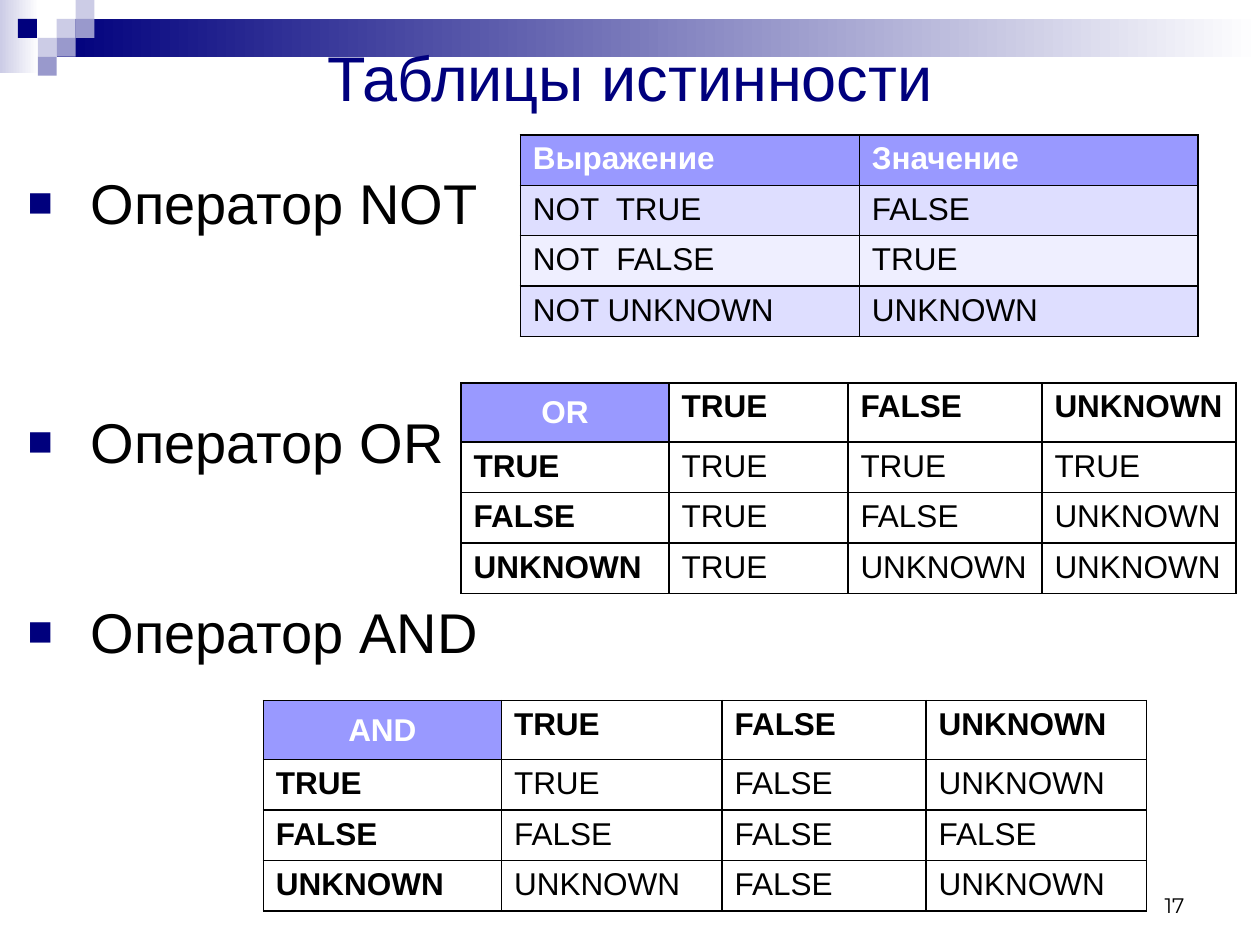
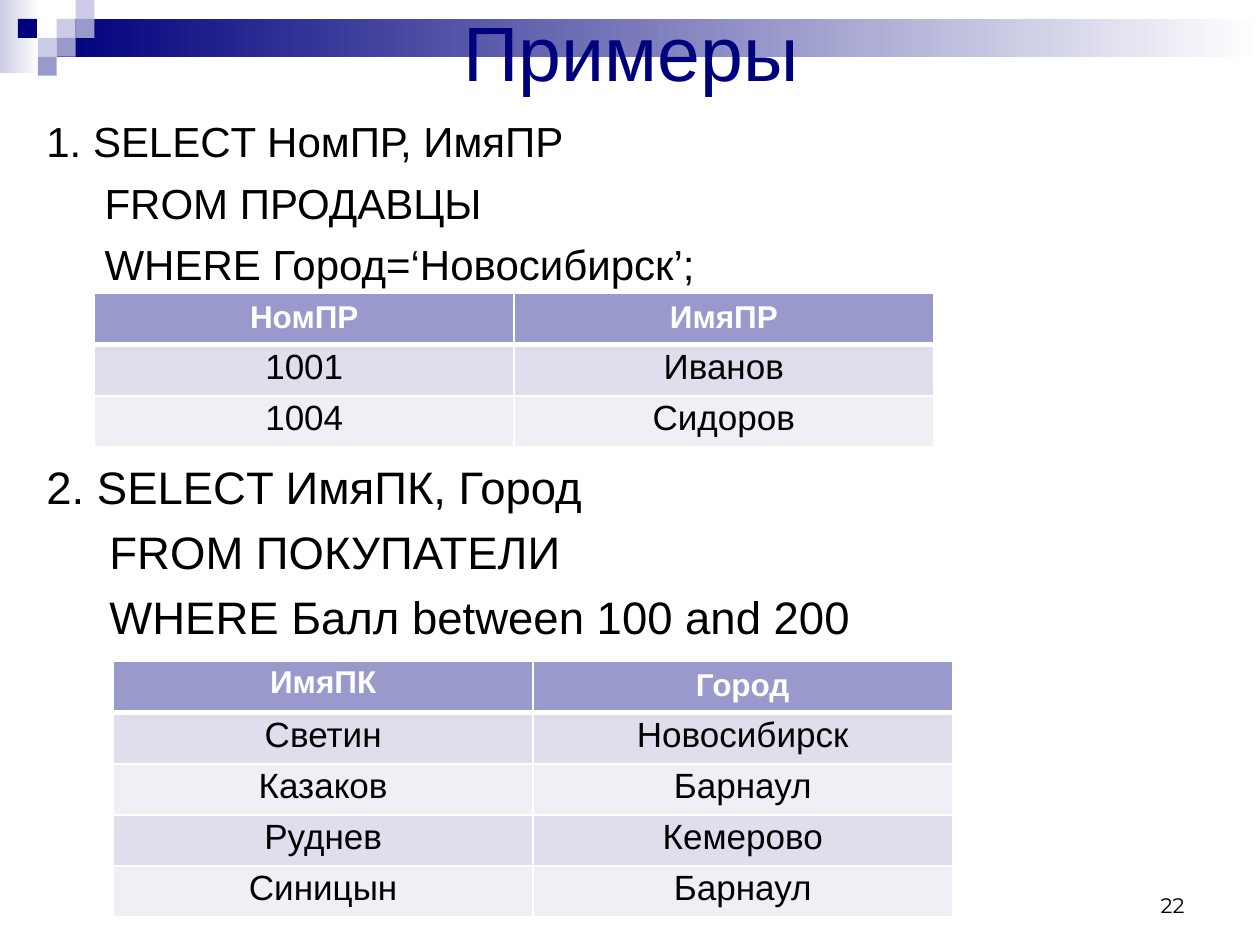
import pptx
import pptx.dml.color
import pptx.enum.shapes
import pptx.enum.text
import pptx.oxml.ns
import pptx.util
import lxml.etree

Inches = pptx.util.Inches
Pt = pptx.util.Pt
Align = pptx.enum.text.PP_ALIGN
Anchor = pptx.enum.text.MSO_ANCHOR

COLORS = {
    "navy": "00007D", "pale": "CCCCE6", "lavender": "9999CC",
    "white": "FFFFFF", "black": "000000",
    "violet": "9999FF", "violet_band": "DEDEFF", "violet_light": "EFEFFF",
    "gray_band": "DEDEEC", "gray_light": "EFEFF6",
}
FONT = "Arial"
TITLE = {"size": 36, "color": "navy", "align": Align.CENTER}
PAGE_NUMBER = {"size": 12, "font": "Montserrat", "align": Align.RIGHT}
HEADER = {"size": 18, "bold": True, "color": "white"}
PLAIN = {"size": 18}
STRONG = {"size": 18, "bold": True}
RESULT = {"size": 20, "align": Align.CENTER, "spacing": 0.9}
TRUTH_VALUES = ["TRUE", "FALSE", "UNKNOWN"]


def rgb(name):
    return pptx.dml.color.RGBColor.from_string(COLORS[name])


def add_bullet(paragraph, indent=0.5):
    properties = paragraph._p.get_or_add_pPr()
    properties.set("marL", str(Inches(indent)))
    properties.set("indent", str(-Inches(indent)))
    qn = pptx.oxml.ns.qn
    color = lxml.etree.SubElement(properties, qn("a:buClr"))
    lxml.etree.SubElement(color, qn("a:srgbClr"), val=COLORS["navy"])
    lxml.etree.SubElement(properties, qn("a:buSzPct"), val="75000")
    lxml.etree.SubElement(properties, qn("a:buFont"), typeface=FONT)
    lxml.etree.SubElement(properties, qn("a:buChar"), char="■")


def write_paragraph(paragraph, text, style):
    paragraph.text = text
    if style.get("bullet"):
        add_bullet(paragraph)
    layout = {
        "alignment": style.get("align", Align.LEFT),
        "line_spacing": style.get("spacing"),
        "space_before": Pt(style.get("before", 0)),
    }
    for name, value in layout.items():
        setattr(paragraph, name, value)
    font_values = {
        "name": style.get("font", FONT),
        "size": Pt(style["size"]),
        "bold": style.get("bold", False),
    }
    for name, value in font_values.items():
        setattr(paragraph.font, name, value)
    paragraph.font.color.rgb = rgb(style.get("color", "black"))


def add_text(slide, box, lines, anchor=Anchor.TOP):
    """Lines are (text, style) pairs, one for each paragraph."""
    shape = slide.shapes.add_textbox(*map(Inches, box))
    frame = shape.text_frame
    frame.word_wrap = True
    frame.vertical_anchor = anchor
    for index, (text, style) in enumerate(lines):
        paragraph = frame.add_paragraph() if index else frame.paragraphs[0]
        write_paragraph(paragraph, text, style)


# Band and squares along the top edge
def add_block(slide, box, color, fades=False):
    shape = slide.shapes.add_shape(
        pptx.enum.shapes.MSO_SHAPE.RECTANGLE, *map(Inches, box))
    shape.shadow.inherit = False
    shape.line.fill.background()
    if fades:
        shape.fill.gradient()
        shape.fill.gradient_angle = 0
        for stop, position, name in zip(
                shape.fill.gradient_stops, (0, 1), (color, "white")):
            stop.position = position
            stop.color.rgb = rgb(name)
    else:
        shape.fill.solid()
        shape.fill.fore_color.rgb = rgb(color)


def add_top_band(slide, side=0.15):
    add_block(slide, (0, 0, 0.31, 0.58), "pale", fades=True)
    add_block(slide, (0.45, side, 9.55, 0.3), "navy", fades=True)
    squares = [(3, 1, "pale"), (4, 0, "pale"), (4, 1, "lavender"), (2, 2, "pale"),
               (0.95, 1, "navy"), (3, 2, "lavender"), (2, 3, "lavender")]
    for column, row, color in squares:
        add_block(slide, (column * side, row * side, side, side), color)


def add_base_slide(presentation, title, title_box, title_size, number):
    slide = presentation.slides.add_slide(presentation.slide_layouts[6])
    add_top_band(slide)
    add_text(slide, title_box, [(title, {**TITLE, "size": title_size})], Anchor.MIDDLE)
    add_text(slide, (7.17, 6.83, 2.33, 0.5), [(number, PAGE_NUMBER)], Anchor.BOTTOM)
    return slide


# Tables
def set_borders(cell, color, widths):
    qn = pptx.oxml.ns.qn
    properties = cell._tc.get_or_add_tcPr()
    for index, (side, width) in enumerate(widths.items()):
        line = lxml.etree.Element(qn(f"a:ln{side}"), w=str(Pt(width)))
        fill = lxml.etree.SubElement(line, qn("a:solidFill"))
        lxml.etree.SubElement(fill, qn("a:srgbClr"), val=COLORS[color])
        properties.insert(index, line)


def add_grid(slide, left, top, columns, row_heights, rows, style_cell,
             border="black", header_rule=1):
    """style_cell(row, column) gives the text style, fill and anchor."""
    box = (left, top, sum(columns), sum(row_heights))
    table = slide.shapes.add_table(
        len(rows), len(columns), *map(Inches, box)).table
    table.first_row = table.horz_banding = False
    for column, width in zip(table.columns, columns):
        column.width = Inches(width)
    for row, height in zip(table.rows, row_heights):
        row.height = Inches(height)
    for row, texts in enumerate(rows):
        for column, text in enumerate(texts):
            cell = table.cell(row, column)
            style, fill, anchor = style_cell(row, column)
            cell.vertical_anchor = anchor
            write_paragraph(cell.text_frame.paragraphs[0], text, style)
            if fill:
                cell.fill.solid()
                cell.fill.fore_color.rgb = rgb(fill)
            else:
                cell.fill.background()
            widths = {"L": 1, "R": 1, "T": header_rule if row == 1 else 1,
                      "B": header_rule if row == 0 else 1}
            set_borders(cell, border, widths)


def add_not_table(slide, left, top):
    def style_cell(row, column):
        if row == 0:
            return HEADER, "violet", Anchor.TOP
        return PLAIN, "violet_band" if row % 2 else "violet_light", Anchor.TOP

    rows = [("Выражение", "Значение"), ("NOT  TRUE", "FALSE"),
            ("NOT  FALSE", "TRUE"), ("NOT UNKNOWN", "UNKNOWN")]
    add_grid(slide, left, top, [2.69] * 2, [0.4] * 4, rows, style_cell)


def add_truth_table(slide, left, top, columns, operator, results):
    def style_cell(row, column):
        if row == column == 0:
            return {**HEADER, "align": Align.CENTER}, "violet", Anchor.MIDDLE
        return PLAIN if row and column else STRONG, None, Anchor.TOP

    rows = [[operator, *TRUTH_VALUES]]
    rows += [[value, *line] for value, line in zip(TRUTH_VALUES, results)]
    add_grid(slide, left, top, columns, [0.47] + [0.4] * 3, rows, style_cell)


def add_result_table(slide, left, top, height, rows, tight_header=None):
    def style_cell(row, column):
        if row == 0:
            spacing = 0.9 if column == tight_header else None
            style = {**HEADER, "align": Align.CENTER, "spacing": spacing}
            return style, "lavender", Anchor.TOP
        return RESULT, "gray_band" if row % 2 else "gray_light", Anchor.TOP

    add_grid(slide, left, top, [3.33] * 2, [height / len(rows)] * len(rows),
             rows, style_cell, border="white", header_rule=3)


# Slides
def build_truth_tables(presentation):
    slide = add_base_slide(
        presentation, "Таблицы истинности", (0.5, 0.31, 9, 0.6), 36, "17")
    operators = [("NOT", 0), ("OR", 98), ("AND", 70)]
    add_text(slide, (0.12, 1.29, 9.88, 6.21), [
        (f"Оператор {name}", {"size": 32, "bullet": True, "before": before})
        for name, before in operators])
    add_not_table(slide, 4.13, 1.07)
    true, false, unknown = TRUTH_VALUES
    add_truth_table(slide, 3.66, 3.04, [1.65, 1.42, 1.54, 1.54], "OR", [
        (true, true, true),
        (true, false, unknown),
        (true, unknown, unknown)])
    add_truth_table(slide, 2.09, 5.56, [1.89, 1.75, 1.62, 1.75], "AND", [
        (true, false, unknown),
        (false, false, false),
        (unknown, false, unknown)])


def build_examples(presentation):
    slide = add_base_slide(presentation, "Примеры", (0.51, 0, 9, 0.81), 44, "22")
    queries = [
        (24, 0, ["1. SELECT НомПР, ИмяПР",
                 "     FROM ПРОДАВЦЫ",
                 "     WHERE Город=‘Новосибирск’;"]),
        (26, 97, ["2. SELECT ИмяПК, Город",
                  "     FROM ПОКУПАТЕЛИ",
                  "     WHERE Балл between 100 and 200"]),
    ]
    add_text(slide, (0.27, 0.87, 9.24, 6.35), [
        (line, {"size": size, "before": 6.2 if index else gap})
        for size, gap, lines in queries for index, line in enumerate(lines)])
    add_result_table(slide, 0.75, 2.33, 1.22, [
        ("НомПР", "ИмяПР"), ("1001", "Иванов"), ("1004", "Сидоров")])
    add_result_table(slide, 0.9, 5.25, 2.03, [
        ("ИмяПК", "Город"), ("Светин", "Новосибирск"), ("Казаков", "Барнаул"),
        ("Руднев", "Кемерово"), ("Синицын", "Барнаул")], tight_header=0)


def main():
    presentation = pptx.Presentation()
    presentation.slide_width = Inches(10)
    presentation.slide_height = Inches(7.5)
    build_truth_tables(presentation)
    build_examples(presentation)
    presentation.save("out.pptx")


if __name__ == "__main__":
    main()
